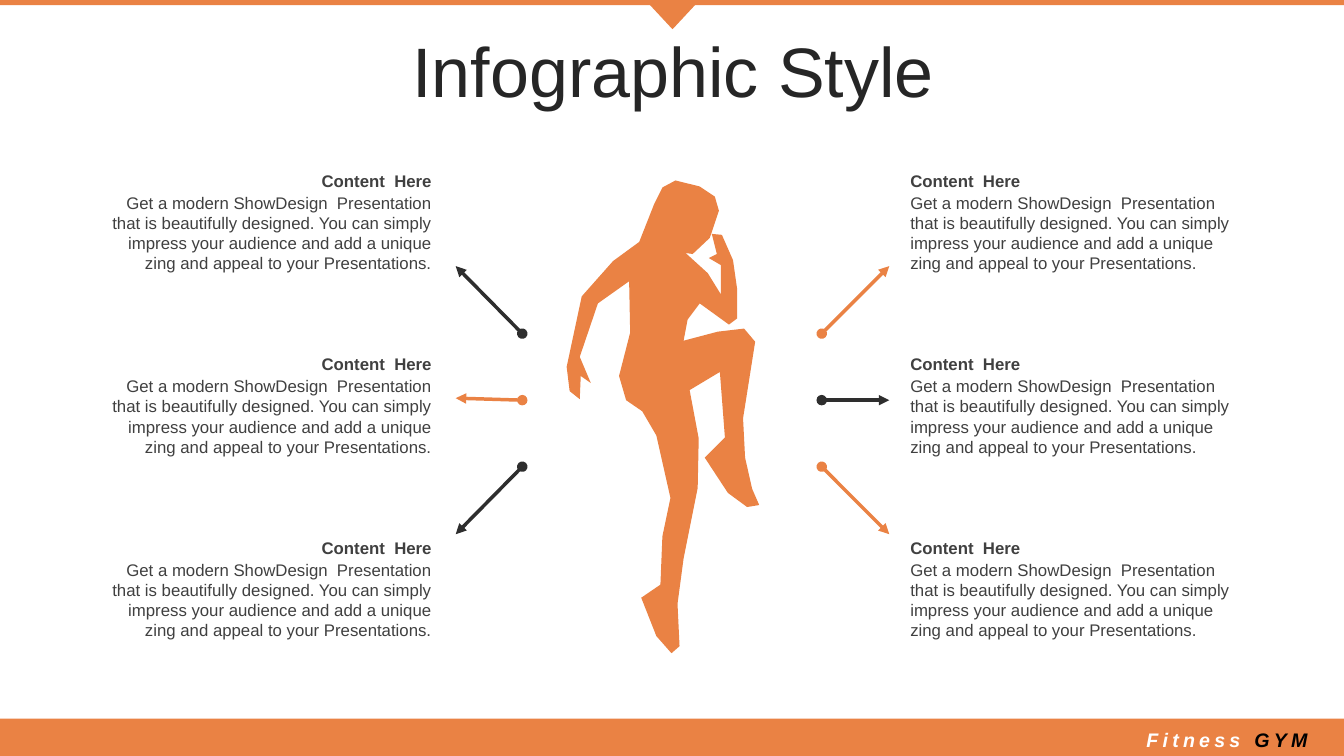
"""Build a fitness infographic slide with a central figure and six captions."""
import pptx
import pptx.util
import pptx.dml.color
import pptx.enum.shapes
import pptx.enum.text
import pptx.oxml.ns
import lxml.etree

Inches = pptx.util.Inches
Shape = pptx.enum.shapes.MSO_SHAPE
Align = pptx.enum.text.PP_ALIGN
Anchor = pptx.enum.text.MSO_ANCHOR

COLORS = {"orange": "EA8244", "dark": "2E2E2E", "title": "262626",
          "body": "404040", "white": "FFFFFF", "black": "000000"}
HEADING = "Content  Here"
BODY = ("Get a modern ShowDesign  Presentation that is beautifully designed. "
        "You can simply impress your audience and add a unique zing and appeal "
        "to your Presentations.")

FIGURE = [
    (670, 179), (694, 185), (709, 195), (713, 209), (704, 236), (687, 252), (680, 251),
    (702, 271), (715, 292), (715, 263), (703, 256), (711, 252), (706, 232), (716, 233),
    (727, 258), (731, 286), (731, 316), (723, 322), (694, 301), (682, 317), (678, 338),
    (712, 329), (738, 326), (749, 339), (737, 415), (739, 454), (746, 485), (753, 501),
    (741, 503), (722, 489), (699, 454), (719, 434), (714, 369), (684, 387), (693, 435),
    (692, 484), (678, 554), (672, 599), (674, 641), (666, 648), (651, 631), (636, 593),
    (655, 580), (657, 532), (665, 494), (651, 432), (637, 408), (621, 397), (614, 373),
    (625, 330), (624, 279), (593, 301), (575, 354), (586, 380), (576, 373), (575, 396),
    (565, 388), (562, 364), (577, 294), (608, 259), (634, 240), (649, 202), (657, 186)]


def rgb(name):
    """Return the named colour."""
    return pptx.dml.color.RGBColor.from_string(COLORS[name])


def paint(shape):
    """Give a shape the plain orange fill."""
    shape.shadow.inherit = False
    shape.fill.solid()
    shape.fill.fore_color.rgb = rgb("orange")
    shape.line.fill.background()


def add_block(page, kind, left, top, width, height):
    """Add an orange preset shape."""
    block = page.shapes.add_shape(kind, Inches(left), Inches(top), Inches(width), Inches(height))
    paint(block)
    return block


def add_text(page, area, spans, size, align, anchor=Anchor.MIDDLE, bold=False):
    """Add a wrapped one-paragraph text box made of (text, colour) spans."""
    box = page.shapes.add_textbox(*[Inches(value) for value in area])
    box.text_frame.word_wrap = True
    box.text_frame.vertical_anchor = anchor
    para = box.text_frame.paragraphs[0]
    para.alignment = align
    for text, color in spans:
        span = para.add_run()
        span.text = text
        span.font.name = "Arial"
        span.font.size = pptx.util.Pt(size)
        span.font.bold = bold
        span.font.color.rgb = rgb(color)
    return para


def add_arrow(page, start, end, color):
    """Add an arrow with a round tail and a triangular head."""
    arrow = page.shapes.add_connector(pptx.enum.shapes.MSO_CONNECTOR.STRAIGHT,
                                      *[Inches(value) for value in start + end])
    arrow.line.width = pptx.util.Pt(2.5)
    arrow.line.color.rgb = rgb(color)
    outline = arrow.line._get_or_add_ln()
    for tag, kind in (("a:headEnd", "oval"), ("a:tailEnd", "triangle")):
        lxml.etree.SubElement(outline, pptx.oxml.ns.qn(tag), type=kind)
    lxml.etree.SubElement(arrow._element.spPr, pptx.oxml.ns.qn("a:effectLst"))


def add_caption(page, left, top, align):
    """Add a bold heading with its description below."""
    add_text(page, (left, top, 3.39, 0.3), [(HEADING, "body")], 12, align, bold=True)
    add_text(page, (left, top + 0.22, 3.39, 0.91), [(BODY, "body")], 12, align, Anchor.TOP)


def add_figure(page):
    """Add the silhouette of an exercising woman."""
    builder = page.shapes.build_freeform(*FIGURE[0], scale=Inches(0.01))
    builder.add_line_segments(FIGURE[1:])
    paint(builder.convert_to_shape())


def add_frame(page):
    """Add the top band with its pointer, the footer band and the footer name."""
    add_block(page, Shape.ISOSCELES_TRIANGLE, 6.4, 0, 0.54, 0.29).rotation = 180
    add_block(page, Shape.RECTANGLE, 0, 0, 13.33, 0.05)
    add_block(page, Shape.RECTANGLE, 0, 7.13, 13.33, 0.37)
    footer = add_text(page, (11.24, 7.11, 1.86, 0.45),
                      [("Fitness ", "white"), ("GYM", "black")], 14, Align.CENTER, bold=True)
    for span in footer.runs:
        span.font.italic = True
        span._r.get_or_add_rPr().set("spc", "300")


def main():
    """Build and save the slide."""
    deck = pptx.Presentation()
    deck.slide_width, deck.slide_height = Inches(13.33), Inches(7.5)
    page = deck.slides.add_slide(deck.slide_layouts[6])
    add_frame(page)
    title = add_text(page, (0.35, 0.37, 12.66, 0.79), [("Infographic Style", "title")],
                     50, Align.CENTER)
    title.line_spacing = 0.8
    right_colors = ("orange", "dark", "orange")
    left_colors = ("dark", "orange", "dark")
    left_ends = (2.64, 3.95, 5.3)
    for row in range(3):
        start_y = 3.31 + 0.66 * row
        add_arrow(page, (8.15, start_y), (8.82, 2.64 + 1.33 * row), right_colors[row])
        add_arrow(page, (5.18, start_y), (4.52, left_ends[row]), left_colors[row])
        top = 1.64 + 1.82 * row
        add_caption(page, 8.93, top, Align.LEFT)
        add_caption(page, 0.99, top, Align.RIGHT)
    add_figure(page)
    deck.save("out.pptx")


if __name__ == "__main__":
    main()
